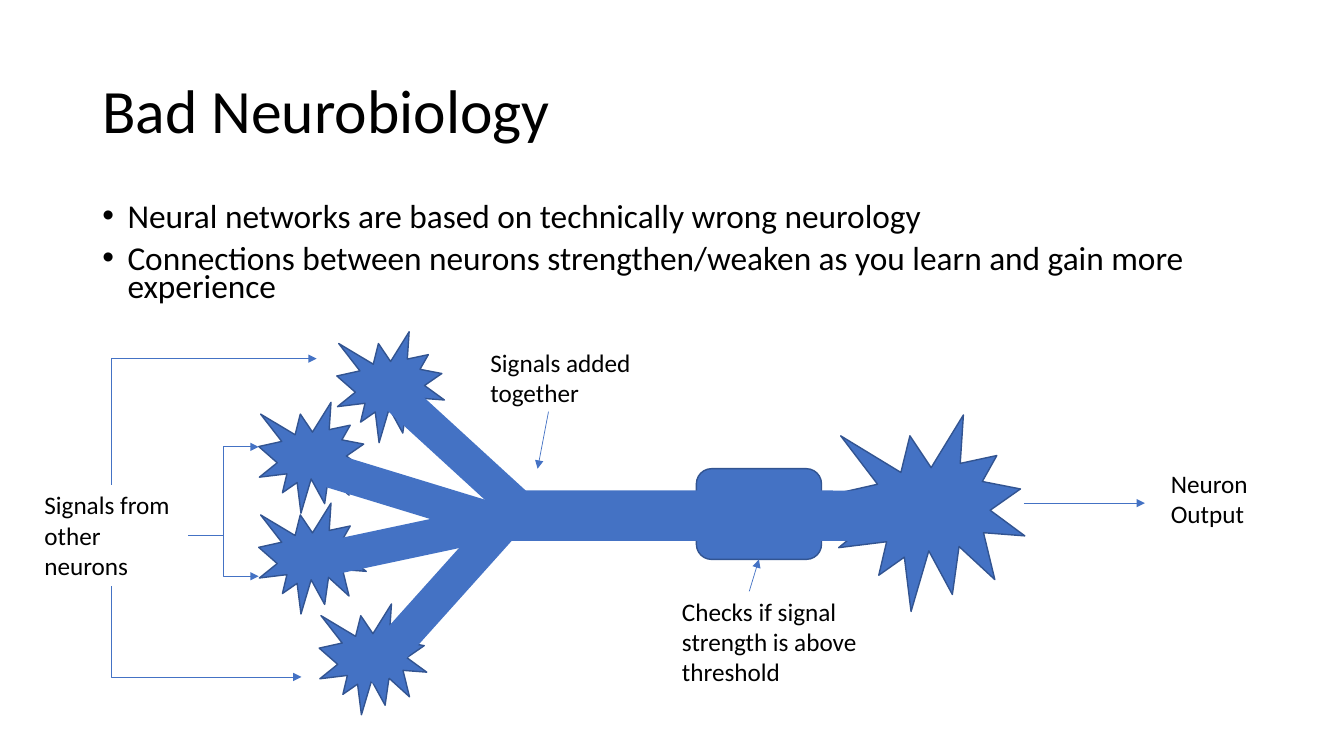
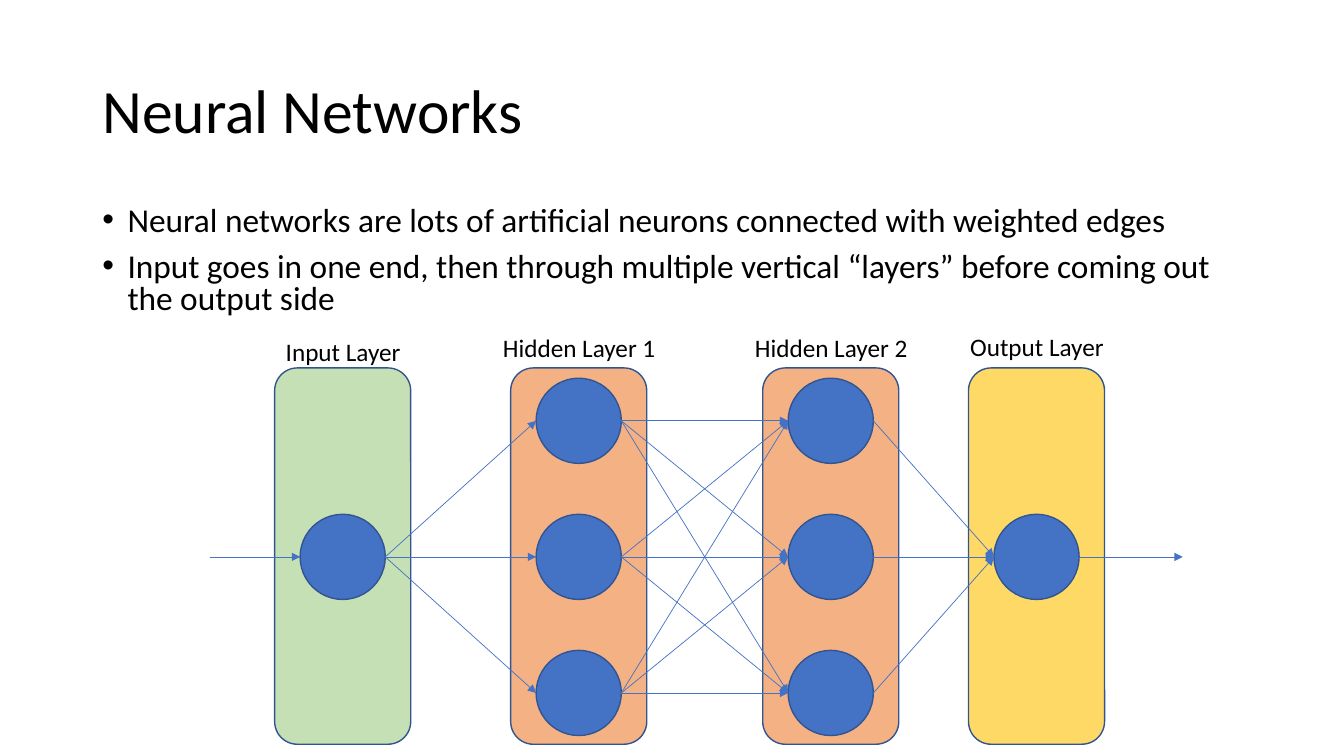
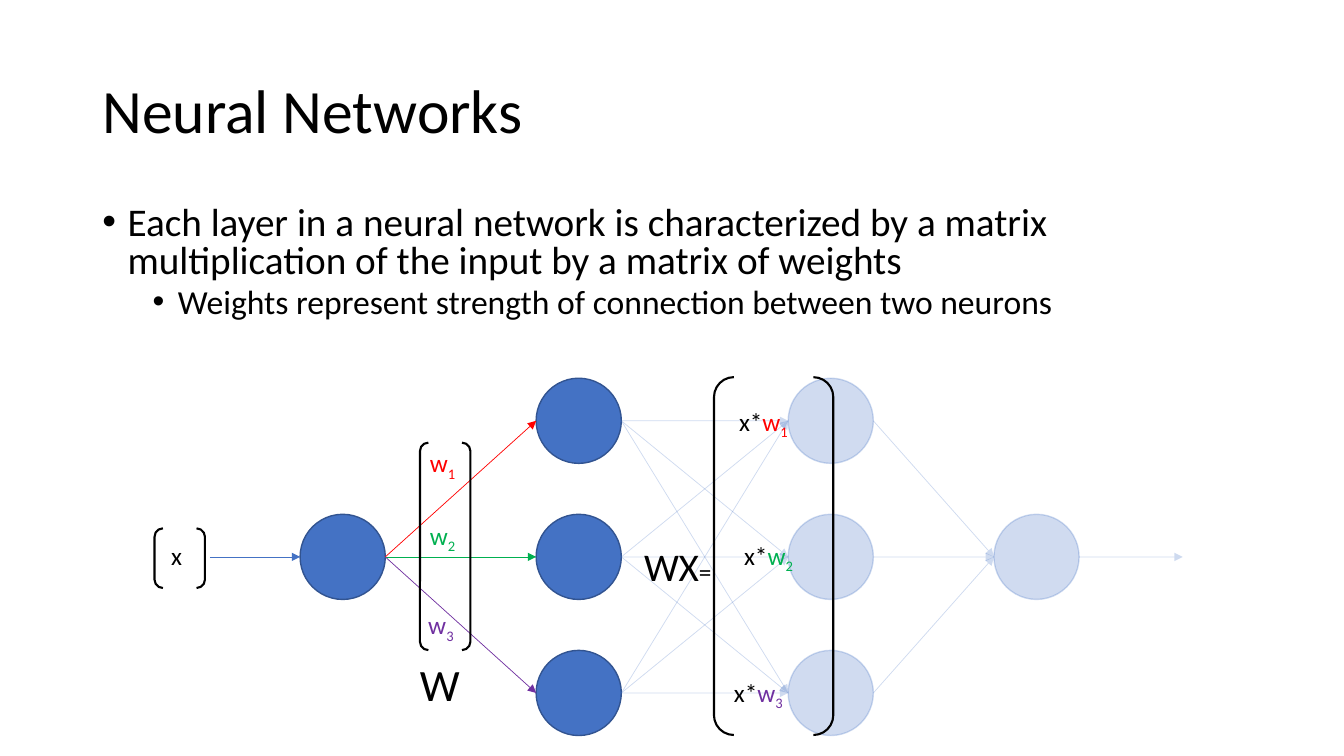
from itertools import product

from lxml.etree import SubElement
from pptx import Presentation
from pptx.dml.color import RGBColor
from pptx.enum.shapes import MSO_CONNECTOR, MSO_SHAPE
from pptx.enum.text import MSO_ANCHOR, MSO_AUTO_SIZE, PP_ALIGN
from pptx.oxml.ns import qn
from pptx.util import Inches, Pt

COLORS = {
    "text": "000000",
    "blue": "4472C4",
    "outline": "325491",
    "green": "C5E0B4",
    "orange": "F4B183",
    "yellow": "FFD966",
    "w1": "FF0000",
    "w2": "00B050",
    "w3": "7030A0",
}
FONT = "Calibri"
COLUMNS, ROWS = 160, 90
LAYERS = [(40.8, 1), (68.9, 3), (98.9, 3), (123.4, 1)]
MIDDLE_ROW, NODE_GAP, NODE_SIZE = 66.3, 16.2, 10.14
INPUT_START, OUTPUT_END = 25, 140.8


class Deck:
    def __init__(self):
        self.presentation = Presentation()
        self.presentation.slide_width = Inches(13.33)
        self.presentation.slide_height = Inches(7.5)
        self.slide = None

    def cells(self, *values):
        units = (self.presentation.slide_width / COLUMNS,
                 self.presentation.slide_height / ROWS)
        return [round(value * units[index % 2]) for index, value in enumerate(values)]

    def paint(self, fill, color, opacity=100):
        fill.solid()
        fill.fore_color.rgb = RGBColor.from_string(COLORS[color])
        if opacity < 100:
            for element in fill._xPr.iter(qn("a:srgbClr")):
                SubElement(element, qn("a:alpha"), val=str(opacity * 1000))

    def format_run(self, run, size, color="text", baseline=0):
        run.font.name = FONT
        run.font.size = Pt(size)
        run.font.color.rgb = RGBColor.from_string(COLORS[color])
        if baseline:
            run.font._element.set("baseline", str(baseline * 1000))

    def text_box(self, left, top, width, height):
        box = self.slide.shapes.add_textbox(*self.cells(left, top, width, height))
        box.text_frame.word_wrap = True
        return box

    def add_slide(self, title, bullets, body_height, spacing):
        self.slide = self.presentation.slides.add_slide(self.presentation.slide_layouts[6])
        frame = self.text_box(11, 4.8, 138, 17.4).text_frame
        frame.vertical_anchor = MSO_ANCHOR.MIDDLE
        frame.text = title
        frame.paragraphs[0].line_spacing = 0.9
        self.format_run(frame.paragraphs[0].runs[0], 44)
        frame = self.text_box(11, 24, 138, body_height).text_frame
        for index, (text, level, size) in enumerate(bullets):
            paragraph = frame.add_paragraph() if index else frame.paragraphs[0]
            paragraph.text = text
            paragraph.level = level
            properties = paragraph._p.get_or_add_pPr()
            properties.set("marL", str(Inches(0.25 + 0.5 * level)))
            properties.set("indent", str(Inches(-0.25)))
            SubElement(properties, qn("a:buFont"), typeface="Arial")
            SubElement(properties, qn("a:buChar"), char="•")
            paragraph.line_spacing = spacing
            if index:
                paragraph.space_before = Pt(5 if level else 10)
            self.format_run(paragraph.runs[0], size)

    def label(self, place, text, size=18, align=PP_ALIGN.LEFT):
        return self.rich_label(place, [(text, size)], align)

    def rich_label(self, place, parts, align=PP_ALIGN.LEFT):
        box = self.text_box(*place)
        box.text_frame.auto_size = MSO_AUTO_SIZE.SHAPE_TO_FIT_TEXT
        paragraph = box.text_frame.paragraphs[0]
        paragraph.alignment = align
        for text, *style in parts:
            run = paragraph.add_run()
            run.text = text
            self.format_run(run, *style)
        return box

    def weight_label(self, place, number, prefix=""):
        color = f"w{number}"
        parts = [(prefix, 18)] if prefix else []
        self.rich_label(place, parts + [("w", 18, color), (str(number), 18, color, -25)])

    def shape(self, kind, place, fill="blue", line="outline", weight=1, opacity=100, rotation=0):
        shape = self.slide.shapes.add_shape(kind, *self.cells(*place))
        shape.shadow.inherit = False
        shape.rotation = rotation
        if fill:
            self.paint(shape.fill, fill, opacity)
        else:
            shape.fill.background()
        if line:
            shape.line.width = Pt(weight)
            self.paint(shape.line.fill, line, opacity)
        else:
            shape.line.fill.background()
        return shape

    def bracket(self, *place):
        self.shape(MSO_SHAPE.DOUBLE_BRACKET, place, fill=None, line="text", weight=1.5)

    def arrow(self, start, end, color="blue", opacity=100, kind=MSO_CONNECTOR.STRAIGHT, tip="tailEnd"):
        connector = self.slide.shapes.add_connector(kind, *self.cells(*start, *end))
        connector.line.width = Pt(0.5)
        self.paint(connector.line.fill, color, opacity)
        SubElement(connector.line._ln, qn(f"a:{tip}"), type="triangle")
        SubElement(connector._element.spPr, qn("a:effectLst"))
        return connector

    def corner_arrow(self, tip, origin):
        connector = self.arrow(tip, origin, kind=MSO_CONNECTOR.ELBOW, tip="headEnd")
        connector._element.spPr.find(qn("a:prstGeom")).set("prst", "bentConnector2")

    def network(self, weight_colors=("blue",) * 3, faded=100):
        radius = NODE_SIZE / 2
        layers = [[(x, MIDDLE_ROW + (index - (count - 1) / 2) * NODE_GAP) for index in range(count)]
                  for x, count in LAYERS]
        for depth, nodes in enumerate(layers):
            opacity = 100 if depth < 2 else faded
            line = "outline" if opacity == 100 else "blue"
            for x, y in nodes:
                self.shape(MSO_SHAPE.OVAL, (x - radius, y - radius, NODE_SIZE, NODE_SIZE),
                           line=line, opacity=opacity)
        for depth, (sources, targets) in enumerate(zip(layers, layers[1:])):
            for index, ((x1, y1), (x2, y2)) in enumerate(product(sources, targets)):
                color = "blue" if depth else weight_colors[index]
                self.arrow((x1 + radius, y1), (x2 - radius, y2), color, faded if depth else 100)
        self.arrow((INPUT_START, MIDDLE_ROW), (LAYERS[0][0] - radius, MIDDLE_ROW))
        self.arrow((LAYERS[-1][0] + radius, MIDDLE_ROW), (OUTPUT_END, MIDDLE_ROW), opacity=faded)


def neurobiology(deck):
    deck.add_slide("Bad Neurobiology", [
        ("Neural networks are based on technically wrong neurology", 0, 23.8),
        ("Connections between neurons strengthen/weaken as you learn and gain more experience", 0, 23.8),
    ], 13.2, 0.7)
    for left, top in [(40.1, 39.5), (30.8, 59.9), (30.8, 47.9), (38, 71.9)]:
        deck.shape(MSO_SHAPE.EXPLOSION1, (left, top, 12.8, 13.2))
    deck.shape(MSO_SHAPE.EXPLOSION1, (99.7, 49.4, 22.3, 23.4))
    for left, top, length, angle in [(42.6, 52, 24.4, 42.5), (37.2, 56.9, 23.5, 17),
                                     (39.4, 69.1, 25.4, -48.1), (37.8, 61.8, 27.2, -12)]:
        deck.shape(MSO_SHAPE.ROUNDED_RECTANGLE, (left, top, length, 4.1), line=None, rotation=angle)
    deck.label((4.1, 57.7, 18.4, 12.1), "Signals from other neurons")
    deck.label((138.2, 55.1, 18.4, 8.5), "Neuron Output")
    deck.label((57.2, 40.7, 26.4, 8.5), "Signals added together")
    threshold = deck.shape(MSO_SHAPE.ROUNDED_RECTANGLE, (82.9, 55.8, 14.9, 10.8))
    deck.shape(MSO_SHAPE.ROUNDED_RECTANGLE, (58.3, 58.4, 50.2, 6), line=None)
    deck.label((80, 70.4, 26.4, 12.1), "Checks if signal strength is above threshold")
    deck.corner_arrow((37.7, 42.7), (13.3, 57.7))
    deck.corner_arrow((35.9, 80.6), (13.3, 69.8))
    for row in (53.2, 68.6):
        deck.arrow((22.4, 63.7), (30.8, row), kind=MSO_CONNECTOR.ELBOW)
    deck.arrow((121.9, 59.9), (136.3, 59.9))
    deck.arrow((65.3, 49), (64, 55.8))
    deck.arrow((89.2, 70.4), (90.4, 66.6)).end_connect(threshold, 2)


def layered_network(deck):
    deck.add_slide("Neural Networks", [
        ("Neural networks are lots of artificial neurons connected with weighted edges", 0, 23.8),
        ("Input goes in one end, then through multiple vertical “layers” before coming out the output side",
         0, 23.8),
    ], 17.4, 0.8)
    captions = [("Input Layer", "green", 39.5), ("Hidden Layer 1", "orange", 39),
                ("Hidden Layer 2", "orange", 39), ("Output Layer", "yellow", 38.9)]
    for (x, _), (_, color, _) in zip(LAYERS, captions):
        deck.shape(MSO_SHAPE.ROUNDED_RECTANGLE, (x - 8.1, 43.8, 16.2, 44.8), color)
    deck.network()
    for (x, _), (text, _, top) in zip(LAYERS, captions):
        deck.label((x - 10.4, top, 20.9, 4.8), text, align=PP_ALIGN.CENTER)


def weight_matrix(deck):
    deck.add_slide("Neural Networks", [
        ("Each layer in a neural network is characterized by a matrix multiplication of the input "
         "by a matrix of weights", 0, 28),
        ("Weights represent strength of connection between two neurons", 1, 24),
    ], 15, 0.8)
    deck.network(("w1", "w2", "w3"), faded=25)
    weights = [(50, 52.7), (50, 61.3), (49.8, 72)]
    products = [(86.8, 47.8), (87.4, 63.7), (86.2, 80)]
    for number, (weight, scaled) in enumerate(zip(weights, products), 1):
        deck.weight_label((*weight, 10.1, 4.8), number)
        deck.weight_label((*scaled, 19.8, 4.8), number, "x*")
    deck.label((19.2, 63.7, 10.1, 4.8), "x")
    deck.label((48.8, 77.6, 14.3, 7.7), "W", 32)
    deck.rich_label((75.5, 64, 19.8, 6.8), [("WX", 28), ("=", 18)])
    deck.bracket(50, 52.7, 6, 24.7)
    deck.bracket(18.4, 62.9, 6, 7.1)
    deck.bracket(85, 44.9, 14.2, 42.6)


def main():
    deck = Deck()
    neurobiology(deck)
    layered_network(deck)
    weight_matrix(deck)
    deck.presentation.save("out.pptx")


if __name__ == "__main__":
    main()
